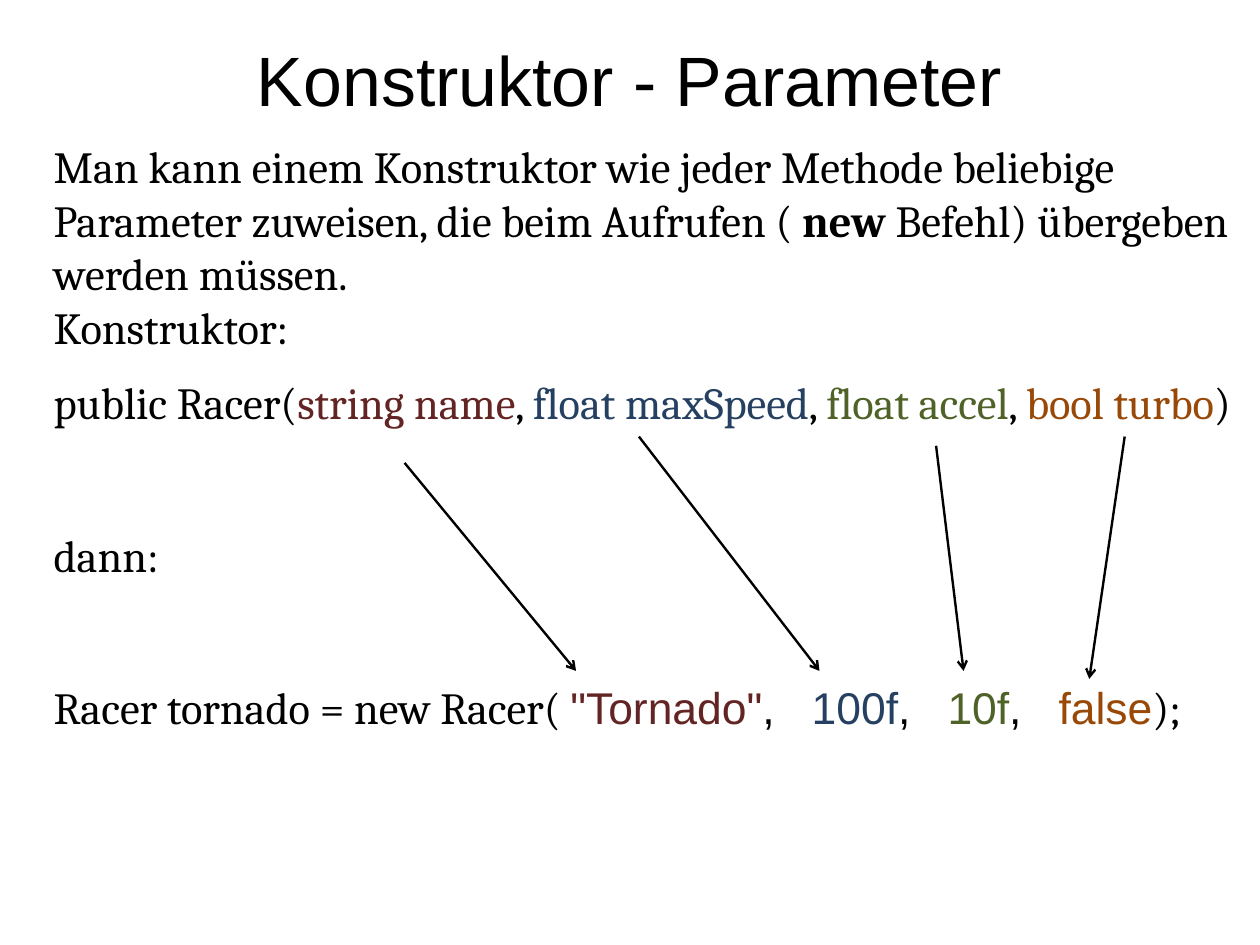
from lxml import etree
from pptx import Presentation
from pptx import util as u
from pptx.dml.color import RGBColor
from pptx.enum import shapes, text
from pptx.oxml.ns import qn

WIDTH, HEIGHT = u.Cm(28), u.Cm(21)
BLACK, RED, BLUE, GREEN, ORANGE = "000000", "632523", "254061", "4F6228", "984807"
SERIF, SANS = "Cambria", "Arial"
BODY_SIZE = 28
PARAGRAPH_GAP = 14.2
SKIPPED_LINE = 62.2
WIDE_SPACE = 15.6

SIGNATURE = [("string name", RED), ("float maxSpeed", BLUE),
             ("float accel", GREEN), ("bool turbo", ORANGE)]
ARGUMENTS = [("\"Tornado\"", RED), ("100f", BLUE), ("10f", GREEN), ("false", ORANGE)]
ARROWS = [((3.54, 4.05), (5.04, 5.87)), ((5.59, 3.82), (7.17, 5.87)),
          ((8.19, 3.9), (8.43, 5.87)), ((9.84, 3.82), (9.53, 5.94))]


def color(value):
    return RGBColor.from_string(value)


def style(span, size, font, fill=BLACK, bold=False):
    span.font.size = u.Pt(size)
    span.font.name = font
    span.font.bold = bold
    span.font.color.rgb = color(fill)


def prepare_frame(frame, anchor):
    frame.margin_left = frame.margin_top = frame.margin_right = frame.margin_bottom = 0
    frame.word_wrap = True
    frame.auto_size = text.MSO_AUTO_SIZE.NONE
    frame.vertical_anchor = anchor


def add_title(page, box):
    title = page.shapes.title
    title.left, title.top, title.width, title.height = box
    prepare_frame(title.text_frame, text.MSO_ANCHOR.MIDDLE)
    title.text_frame.text = "Konstruktor - Parameter"
    para = title.text_frame.paragraphs[0]
    para.alignment = text.PP_ALIGN.CENTER
    style(para.runs[0], 44, SANS)


def add_span(para, words, fill=BLACK, font=SERIF, bold=False):
    span = para.add_run()
    span.text = words
    style(span, BODY_SIZE, font, fill, bold)
    return span


def add_list(para, items, font, extra_space=0):
    """Write coloured items with commas between, widening the space after each comma."""
    for index, (words, fill) in enumerate(items):
        if index:
            add_span(para, ",", font=font)
            space = add_span(para, " ", font=font)
            space.font._element.set("spc", str(round(extra_space * 100)))
        add_span(para, words, fill, font)


def add_body(page, box):
    frame = page.shapes.add_textbox(*box).text_frame
    prepare_frame(frame, text.MSO_ANCHOR.TOP)
    gaps = [0, PARAGRAPH_GAP, SKIPPED_LINE, SKIPPED_LINE]
    for _ in gaps[1:]:
        frame.add_paragraph()
    for para, gap in zip(frame.paragraphs, gaps):
        para.space_before = u.Pt(gap)
        para.alignment = text.PP_ALIGN.LEFT
        para._p.get_or_add_pPr().set("marL", str(u.Inches(0.47)))
    intro, signature, then, call = frame.paragraphs

    add_span(intro, "Man kann einem Konstruktor wie jeder Methode beliebige "
                    "Parameter zuweisen, die beim Aufrufen ( ")
    add_span(intro, "new", bold=True)
    add_span(intro, " Befehl) übergeben werden müssen. ")
    intro.add_line_break()
    add_span(intro, "Konstruktor:")
    add_span(signature, "public Racer(")
    add_list(signature, SIGNATURE, SERIF)
    add_span(signature, ")")
    add_span(then, "dann:")
    add_span(call, "Racer tornado = new Racer( ")
    add_list(call, ARGUMENTS, SANS, WIDE_SPACE)
    add_span(call, ");")


def add_arrow(page, start, end):
    arrow = page.shapes.add_connector(shapes.MSO_CONNECTOR.STRAIGHT,
                                      *map(u.Inches, start + end))
    arrow.line.color.rgb = color(BLACK)
    arrow.line.width = u.Pt(1.5)
    etree.SubElement(arrow.line._get_or_add_ln(), qn("a:tailEnd"), type="arrow")
    etree.SubElement(arrow._element.spPr, qn("a:effectLst"))


def main():
    deck = Presentation()
    deck.slide_width, deck.slide_height = WIDTH, HEIGHT
    page = deck.slides.add_slide(deck.slide_layouts.get_by_name("Title Only"))
    add_title(page, (int(WIDTH * 0.05), 0, int(WIDTH * 0.9), HEIGHT // 6))
    add_body(page, (0, u.Inches(1.22), WIDTH, u.Inches(6.69)))
    for start, end in ARROWS:
        add_arrow(page, start, end)
    deck.save("out.pptx")


if __name__ == "__main__":
    main()
